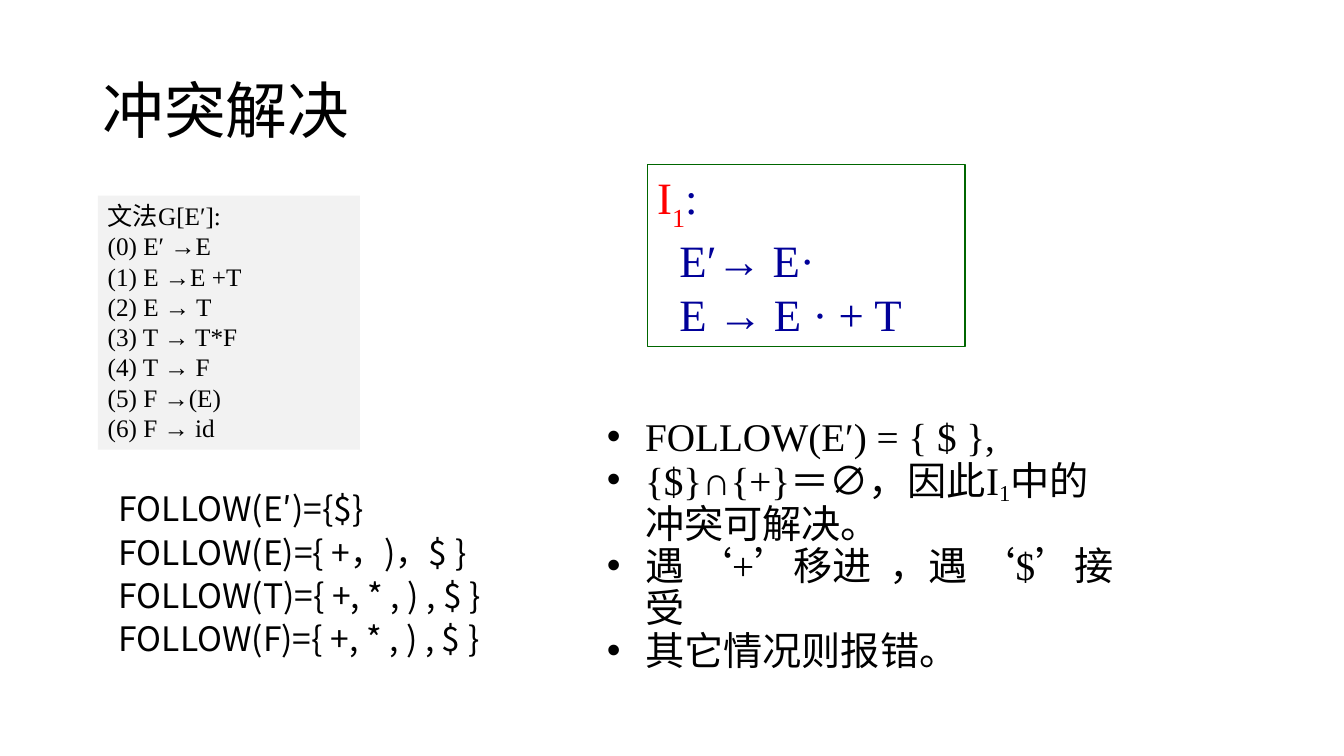
import dataclasses
import typing

import lxml.etree
import pptx
import pptx.dml.color
import pptx.enum.lang
import pptx.enum.shapes
import pptx.enum.text
import pptx.oxml.ns
import pptx.util

Inches = pptx.util.Inches
Pt = pptx.util.Pt
qn = pptx.oxml.ns.qn
Color = pptx.dml.color.RGBColor.from_string
Anchor = pptx.enum.text.MSO_ANCHOR


@dataclasses.dataclass(frozen=True)
class Theme:
    """Colours, fonts and type sizes of the slide."""

    black: str = "000000"
    red: str = "FF0000"
    navy: str = "000099"
    green: str = "006600"
    gray: str = "F2F2F2"
    sans: str = "Noto Sans CJK SC"
    serif: str = "Times New Roman"
    title: int = 44
    state: int = 32
    point: int = 28
    follow: int = 24
    rule: int = 18


THEME = Theme()


class Run(typing.NamedTuple):
    """A piece of text with its own colour or baseline shift."""

    text: str
    color: str = THEME.black
    base: int = 0


class Line(typing.NamedTuple):
    """A paragraph with its left margin and first-line indent."""

    runs: list[Run]
    margin: float = 0
    indent: float = 0
    bullet: str = ""


@dataclasses.dataclass(frozen=True)
class Block:
    """A text block with its place and format."""

    place: tuple[float, float, float, float]
    lines: list[Line]
    size: int
    font: str = THEME.serif
    form: dict[str, typing.Any] = dataclasses.field(default_factory=dict)
    anchor: Anchor = Anchor.TOP
    fill: str = ""
    edge: str = ""


def plain(*texts: str, color: str = THEME.black, margin: float = 0) -> list[Line]:
    """Make one single-run line per text."""
    return [Line([Run(text, color)], margin) for text in texts]


def point(*runs: Run) -> Line:
    """Make a bulleted line."""
    return Line(list(runs), 0.38, -0.38, "•")


def assign(target: typing.Any, form: dict[str, typing.Any]) -> None:
    """Set each format value on the target."""
    for name, value in form.items():
        setattr(target, name, value)


def add_run(para: typing.Any, run: Run, block: Block) -> None:
    """Add a formatted run to a paragraph."""
    piece = para.add_run()
    piece.text = run.text
    assign(piece.font, {
        "name": block.font,
        "size": Pt(block.size),
        "language_id": pptx.enum.lang.MSO_LANGUAGE_ID.SIMPLIFIED_CHINESE,
    })
    piece.font.color.rgb = Color(run.color)
    props = piece.font._element
    lxml.etree.SubElement(props, qn("a:ea"), typeface=THEME.sans)
    if run.base:
        props.set("baseline", str(run.base * 1000))


def add_line(para: typing.Any, line: Line, block: Block) -> None:
    """Fill a paragraph with its runs, indents and bullet."""
    assign(para, {"alignment": pptx.enum.text.PP_ALIGN.LEFT, **block.form})
    props = para._p.get_or_add_pPr()
    props.set("marL", str(Inches(line.margin)))
    props.set("indent", str(Inches(line.indent)))
    if line.bullet:
        lxml.etree.SubElement(props, qn("a:buFont"), typeface="Arial")
        lxml.etree.SubElement(props, qn("a:buChar"), char=line.bullet)
    for run in line.runs:
        add_run(para, run, block)


def draw(slide: typing.Any, block: Block) -> None:
    """Draw a block as a rectangle or a text box."""
    place = [Inches(value) for value in block.place]
    if block.fill or block.edge:
        shape = slide.shapes.add_shape(pptx.enum.shapes.MSO_SHAPE.RECTANGLE, *place)
        shape.shadow.inherit = False
        shape.fill.background()
        shape.line.fill.background()
    else:
        shape = slide.shapes.add_textbox(*place)
    if block.fill:
        shape.fill.solid()
        shape.fill.fore_color.rgb = Color(block.fill)
    if block.edge:
        shape.line.color.rgb = Color(block.edge)
        shape.line.width = Pt(1)
    frame = shape.text_frame
    assign(frame, {"word_wrap": True, "vertical_anchor": block.anchor})
    for order, line in enumerate(block.lines):
        para = frame.add_paragraph() if order else frame.paragraphs[0]
        add_line(para, line, block)


BLOCKS = [
    Block((1.08, 4.87, 4.25, 2), plain(
        "FOLLOW(E′)={$}",
        "FOLLOW(E)={ +，)，$ }",
        "FOLLOW(T)={ +, * , ) , $ }",
        "FOLLOW(F)={ +, * , ) , $ }",
    ), THEME.follow, THEME.sans, {"line_spacing": 0.8, "space_before": Pt(8)}),
    Block((0.92, 0.4, 11.5, 1.45), plain("冲突解决"), THEME.title, THEME.sans,
          {"line_spacing": 0.9}, Anchor.MIDDLE),
    Block((0.97, 1.94, 2.6, 2.52), plain(
        "文法G[E′]:",
        "(0) E′ →E",
        "(1) E →E +T",
        "(2) E → T",
        "(3) T → T*F",
        "(4) T → F",
        "(5) F →(E)",
        "(6) F → id",
    ), THEME.rule, fill=THEME.gray),
    Block((6.42, 1.63, 3.15, 1.81), [
        Line([Run("I", THEME.red), Run("1", THEME.red, -30), Run(":", THEME.navy)]),
        *plain("E′→ E·", "E → E · + T", color=THEME.navy, margin=0.22),
    ], THEME.state, edge=THEME.green),
    Block((5.92, 4.09, 5.25, 2.22), [
        point(Run("FOLLOW(E′) = { $ },")),
        point(Run("{$}∩{+}＝∅，因此I"), Run("1", base=-15), Run("中的冲突可解决。")),
        point(Run("遇 ‘+’移进  ，遇 ‘$’接受")),
        point(Run("其它情况则报错。")),
    ], THEME.point, form={"line_spacing": 0.9}),
]


def main() -> None:
    """Build the slide and save it."""
    deck = pptx.Presentation()
    assign(deck, {"slide_width": Inches(13.33), "slide_height": Inches(7.5)})
    slide = deck.slides.add_slide(deck.slide_layouts[6])
    for block in BLOCKS:
        draw(slide, block)
    deck.save("out.pptx")


if __name__ == "__main__":
    main()
